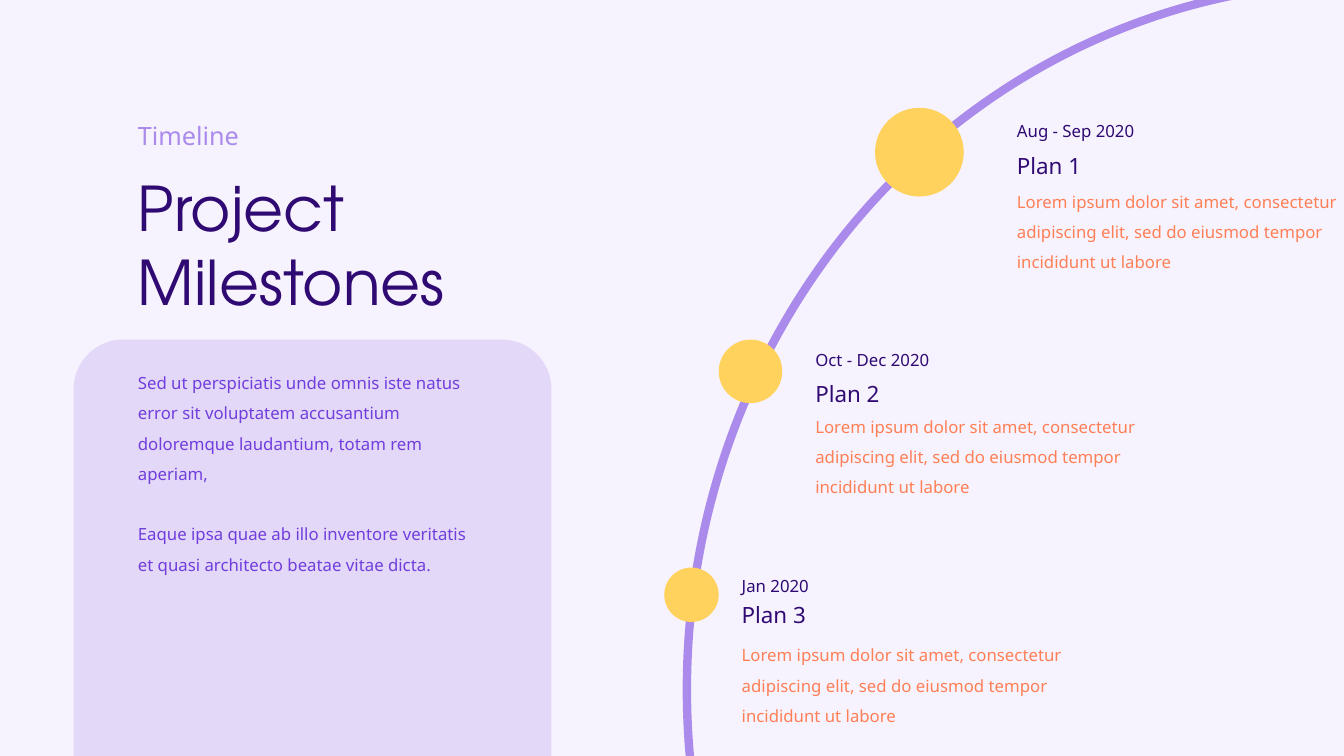
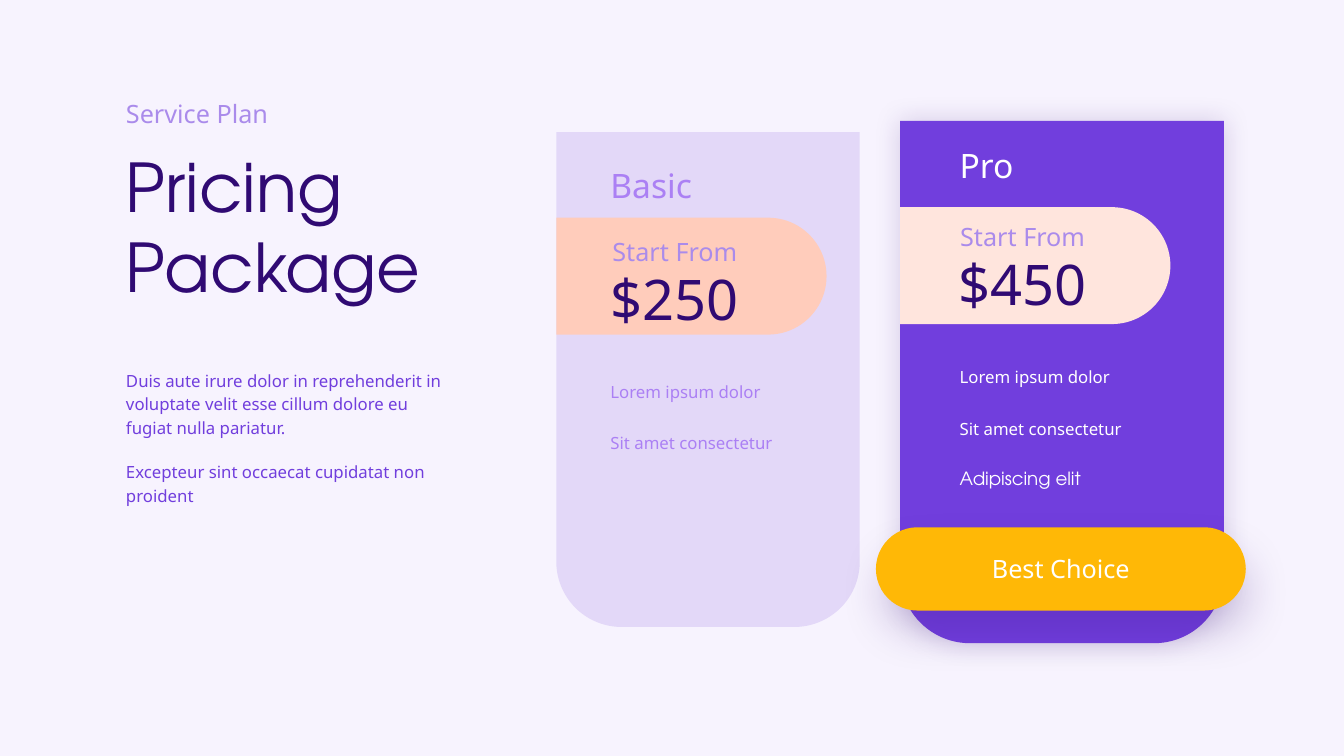
from dataclasses import dataclass

from lxml import etree
from pptx import Presentation
from pptx.dml.color import RGBColor
from pptx.enum.shapes import MSO_SHAPE
from pptx.enum.text import MSO_ANCHOR, PP_ALIGN
from pptx.oxml.ns import qn
from pptx.util import Pt

TOP_ROUNDED = MSO_SHAPE.ROUND_2_SAME_RECTANGLE
ROUNDED = MSO_SHAPE.ROUNDED_RECTANGLE
OVAL = MSO_SHAPE.OVAL
ARC = MSO_SHAPE.ARC
LEFT, CENTER = PP_ALIGN.LEFT, PP_ALIGN.CENTER
MIDDLE = MSO_ANCHOR.MIDDLE


@dataclass(frozen=True)
class Theme:
    # Colours
    background: str = "F7F3FE"
    ink: str = "300A73"
    violet: str = "713EDD"
    lilac: str = "AA8BEB"
    bright_lilac: str = "AB80F4"
    pale_lilac: str = "E3D8F8"
    coral: str = "FF7F56"
    peach: str = "FFCCBB"
    pale_peach: str = "FFE5DD"
    yellow: str = "FFD15D"
    amber: str = "FFB806"
    white: str = "FFFFFF"
    # Fonts and type sizes
    body_font: str = "Noto Sans"
    title_font: str = "TeX Gyre Adventor"
    body: float = 12
    accent: float = 13
    name: float = 16
    label: float = 18
    plan: float = 24
    price: float = 40


THEME = Theme()
NARROW_INSET = (7.2, 3.6)
WIDE_INSET = (9.4, 9.4)
LOREM = ("Lorem ipsum dolor sit amet, consectetur adipiscing elit, "
         "sed do eiusmod tempor incididunt ut labore")


@dataclass(frozen=True)
class Milestone:
    date: str
    name: str
    dot: tuple  # left, top, diameter
    left: float
    tops: tuple  # date, name, description


@dataclass(frozen=True)
class Plan:
    name: str
    price: str
    card: tuple  # left, top, width, height
    card_color: str
    pill_color: str
    text_color: str
    text_left: float
    name_top: float
    pill_top: float
    offer_left: float
    offer_top: float
    features: tuple  # text, top, font, size
    shadow: tuple = ()


MILESTONES = (
    Milestone("Aug - Sep 2020", "Plan 1", (625, 77, 63.4), 719.3, (82.8, 105.1, 126)),
    Milestone("Oct - Dec 2020", "Plan 2", (513.4, 242.6, 45.4), 575.3, (246.2, 267.8, 286.6)),
    Milestone("Jan 2020", "Plan 3", (474.5, 405.4, 38.9), 522.7, (407.5, 425.5, 450)),
)

PLANS = (
    Plan("Pro", "$450", (643, 86.4, 231.1, 373), THEME.violet, THEME.pale_peach,
         THEME.white, 676.1, 94.3, 148, 665.3, 148.3,
         (("Lorem ipsum dolor", 254.9, THEME.body_font, THEME.body),
          ("Sit amet consectetur", 291.6, THEME.body_font, THEME.body),
          ("Adipiscing elit", 326.2, THEME.title_font, THEME.accent)),
         shadow=(18, 19, 0, 0)),
    Plan("Basic", "$250", (397.4, 94.3, 216.7, 353.5), THEME.pale_lilac, THEME.peach,
         THEME.bright_lilac, 426.6, 108.7, 155.5, 416.9, 159.1,
         (("Lorem ipsum dolor", 265.7, THEME.body_font, THEME.body),
          ("Sit amet consectetur", 301.7, THEME.body_font, THEME.body))),
)


def rgb(color):
    return RGBColor.from_string(color)


def write(frame, paragraphs, size, color, font=THEME.body_font, align=LEFT,
          spacing=None, gap=0):
    """Fill a text frame, one run per paragraph."""
    for index, text in enumerate(paragraphs):
        para = frame.add_paragraph() if index else frame.paragraphs[0]
        para.alignment = align
        if spacing:
            para.line_spacing = spacing
        if index and gap:
            para.space_before = Pt(gap)
        span = para.add_run()
        span.text = text
        span.font.name = font
        span.font.size = Pt(size)
        span.font.color.rgb = rgb(color)


def add_text(page, at, paragraphs, size, color, inset=NARROW_INSET, **style):
    box = page.shapes.add_textbox(*map(Pt, at))
    frame = box.text_frame
    frame.word_wrap = True
    frame.margin_left = frame.margin_right = Pt(inset[0])
    frame.margin_top = frame.margin_bottom = Pt(inset[1])
    write(frame, paragraphs, size, color, **style)


def add_shadow(shape, opacity, blur, distance, angle):
    effects = shape._element.spPr.find(qn("a:effectLst"))
    outer = etree.SubElement(
        effects, qn("a:outerShdw"), blurRad=str(Pt(blur)), dist=str(Pt(distance)),
        dir=str(angle * 60000), algn="ctr", rotWithShape="0")
    color = etree.SubElement(outer, qn("a:srgbClr"), val=THEME.ink)
    etree.SubElement(color, qn("a:alpha"), val=str(opacity * 1000))


def add_shape(page, kind, at, fill=None, adjust=(), shadow=()):
    shape = page.shapes.add_shape(kind, *map(Pt, at))
    shape.shadow.inherit = False
    if fill:
        shape.fill.solid()
        shape.fill.fore_color.rgb = rgb(fill)
    else:
        shape.fill.background()
    shape.line.fill.background()
    for index, value in enumerate(adjust):
        shape.adjustments[index] = value
    if shadow:
        add_shadow(shape, *shadow)
    return shape


def add_pill(page, left, top, width, height, fill):
    """A band with a round right end: a top-rounded shape turned a quarter."""
    shift = (width - height) / 2
    pill = add_shape(page, TOP_ROUNDED, (left + shift, top - shift, height, width),
                     fill, (0.5, 0))
    pill.rotation = 90


def add_heading(page, left, label, label_top, title, title_top, width, size, inset):
    add_text(page, (left, label_top, 200, 30), [label], THEME.label, THEME.lilac, inset)
    add_text(page, (left, title_top, width, 114), title, size, THEME.ink, inset,
             font=THEME.title_font)


def add_milestone(page, item):
    left, top, diameter = item.dot
    add_shape(page, OVAL, (left, top, diameter, diameter), THEME.yellow)
    date_top, name_top, text_top = item.tops
    add_text(page, (item.left, date_top, 144.7, 26.6), [item.date], THEME.body, THEME.ink)
    add_text(page, (item.left, name_top, 144.7, 26.6), [item.name], THEME.name, THEME.ink)
    add_text(page, (item.left, text_top, 272.9, 69), [LOREM], THEME.body, THEME.coral,
             spacing=1.5)


def add_plan(page, plan):
    add_shape(page, TOP_ROUNDED, plan.card, plan.card_color, (0, 0.215), plan.shadow)
    add_pill(page, plan.card[0], plan.pill_top, 193, 83.5, plan.pill_color)
    add_text(page, (plan.text_left, plan.name_top, 130, 41.8), [plan.name],
             THEME.plan, plan.text_color, WIDE_INSET)
    add_text(page, (plan.offer_left, plan.offer_top, 130.3, 32.4), ["Start From"],
             THEME.label, THEME.lilac, WIDE_INSET, align=CENTER)
    add_text(page, (plan.offer_left, plan.offer_top + 20.2, 130.3, 41.8), [plan.price],
             THEME.price, THEME.ink, WIDE_INSET, align=CENTER)
    for text, top, font, size in plan.features:
        add_text(page, (plan.text_left, top, 157.7, 32.4), [text], size,
                 plan.text_color, WIDE_INSET, font=font)


def build_milestones(page):
    # Panel and curve
    add_shape(page, TOP_ROUNDED, (52.6, 242.6, 341.3, 297.4), THEME.pale_lilac, (0.119, 0))
    curve = add_shape(page, ARC, (468, 10.1, 1022.4, 976.3))
    curve.adjustments[0] = 162.8 * 0.6  # degrees to adjustment units
    curve.adjustments[1] = 0
    curve.rotation = 262.8
    curve.line.color.rgb = rgb(THEME.lilac)
    curve.line.width = Pt(6)
    # Heading and introduction
    add_heading(page, 91.4, "Timeline", 82.1, ["Project Milestones"], 118.1, 270.7, 44,
                NARROW_INSET)
    add_text(page, (91.4, 255.6, 260.6, 180),
             ["Sed ut perspiciatis unde omnis iste natus error sit voluptatem "
              "accusantium doloremque laudantium, totam rem aperiam,",
              "Eaque ipsa quae ab illo inventore veritatis et quasi architecto "
              "beatae vitae dicta."],
             THEME.body, THEME.violet, spacing=1.5, gap=21.6)
    # Milestones along the curve
    for item in MILESTONES:
        add_milestone(page, item)


def build_pricing(page):
    # Heading and introduction
    add_heading(page, 80.6, "Service Plan", 60.5, ["Pricing", "Package"], 94.3, 245.5, 48,
                WIDE_INSET)
    add_text(page, (80.6, 253.4, 253.4, 128.9),
             ["Duis aute irure dolor in reprehenderit in voluptate velit esse "
              "cillum dolore eu fugiat nulla pariatur.",
              "Excepteur sint occaecat cupidatat non proident"],
             THEME.body, THEME.violet, WIDE_INSET, spacing=1.15, gap=15.5)
    # Price cards
    for plan in PLANS:
        add_plan(page, plan)
    # Button
    button = add_shape(page, ROUNDED, (625.7, 376.6, 264.2, 59.5), THEME.amber, (0.5,),
                       (19, 30, 17, 78))
    button.text_frame.vertical_anchor = MIDDLE
    write(button.text_frame, ["Best Choice"], THEME.label, THEME.white, align=CENTER)


def main():
    deck = Presentation()
    deck.slide_width, deck.slide_height = Pt(960), Pt(540)
    # Shared background
    background = deck.slide_master.background.fill
    background.solid()
    background.fore_color.rgb = rgb(THEME.background)
    blank = deck.slide_layouts[6]
    for build in (build_milestones, build_pricing):
        build(deck.slides.add_slide(blank))
    deck.save("out.pptx")


if __name__ == "__main__":
    main()
